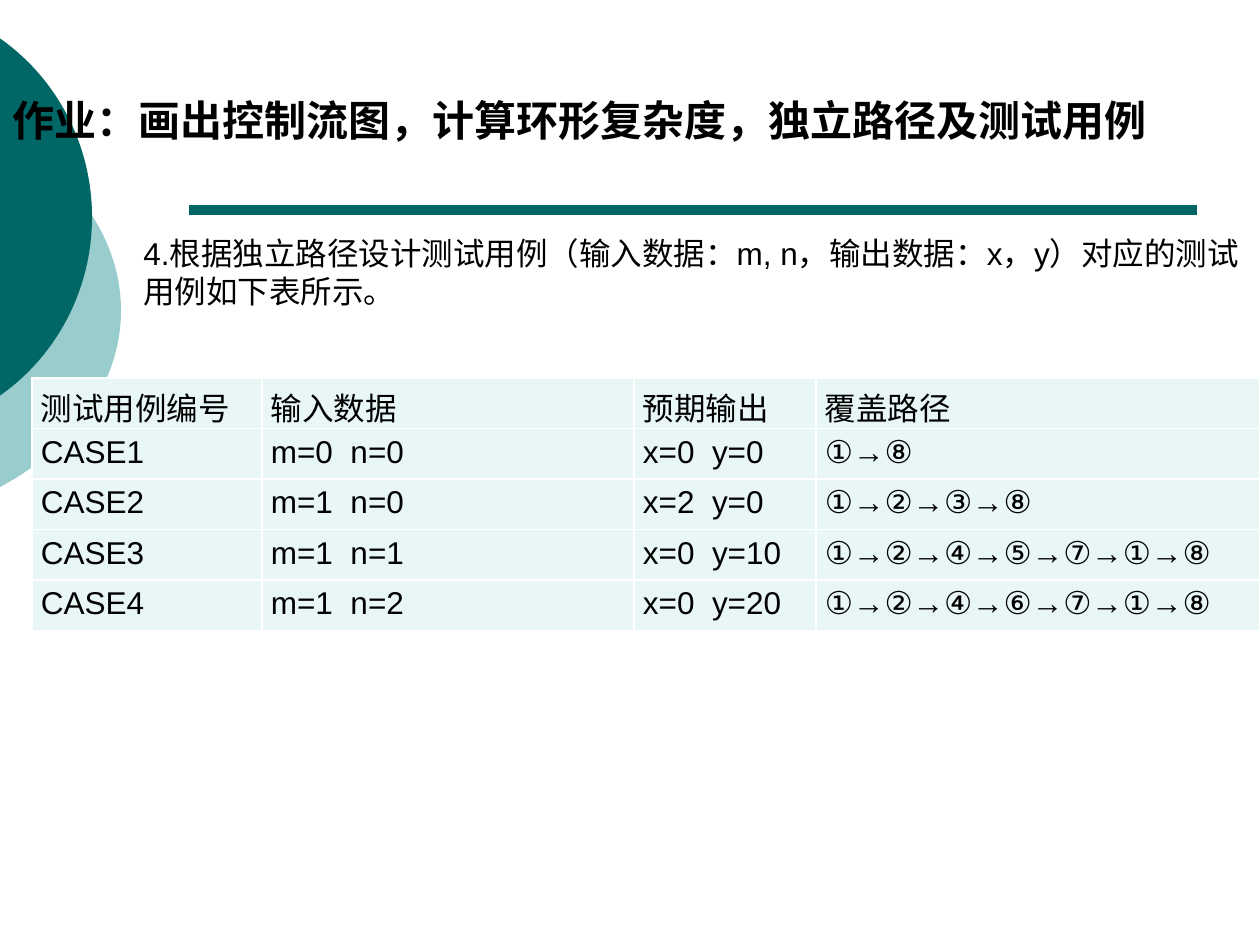
from lxml import etree
from pptx import Presentation
from pptx.dml.color import RGBColor
from pptx.enum.shapes import MSO_CONNECTOR, MSO_SHAPE
from pptx.enum.text import MSO_ANCHOR
from pptx.oxml import parse_xml
from pptx.oxml.ns import nsdecls, qn
from pptx.util import Pt

STRAIGHT = MSO_CONNECTOR.STRAIGHT
OVAL = MSO_SHAPE.OVAL
MIDDLE = MSO_ANCHOR.MIDDLE
EMU_PER_PX = 914400 / 126
TEAL = "006666"


def emu(pixels):
    return round(pixels * EMU_PER_PX)


def write(text_frame, text, size, bold=False):
    """Put one black Arial run into the first paragraph."""
    text_frame.word_wrap = True
    run = text_frame.paragraphs[0].add_run()
    run.text = text
    run.font.name = "Arial"
    run.font.size = Pt(size)
    run.font.bold = bold
    run.font.color.rgb = RGBColor.from_string("000000")


presentation = Presentation()
presentation.slide_width = emu(1260)
presentation.slide_height = emu(945)
slide = presentation.slides.add_slide(presentation.slide_layouts[6])
shapes = slide.shapes

# Ovals that reach in over the left edge
ovals = [
    ("99CCCC", -446, 95, 567, 431),
    (TEAL, -334, 0, 426, 434),
]
for color, left, top, width, height in ovals:
    oval = shapes.add_shape(OVAL, emu(left), emu(top), emu(width), emu(height))
    oval.shadow.inherit = False
    oval.fill.solid()
    oval.fill.fore_color.rgb = RGBColor.from_string(color)
    oval.line.fill.background()

rule = shapes.add_connector(STRAIGHT, emu(189), emu(210), emu(1197), emu(210))
rule.line.color.rgb = RGBColor.from_string(TEAL)
rule.line.width = Pt(6)
etree.SubElement(rule._element.spPr, qn("a:effectLst"))

title = shapes.add_textbox(0, emu(92), emu(1260), emu(56))
title.text_frame.vertical_anchor = MIDDLE
write(title.text_frame, "作业：画出控制流图，计算环形复杂度，独立路径及测试用例", 24, bold=True)

task = shapes.add_textbox(emu(131), emu(228), emu(1124), emu(89))
write(
    task.text_frame,
    "4.根据独立路径设计测试用例（输入数据：m, n，输出数据：x，y）对应的测试用例如下表所示。",
    18,
)

test_cases = [
    ("测试用例编号", "输入数据", "预期输出", "覆盖路径"),
    ("CASE1", "m=0  n=0", "x=0  y=0", "①→⑧"),
    ("CASE2", "m=1  n=0", "x=2  y=0", "①→②→③→⑧"),
    ("CASE3", "m=1  n=1", "x=0  y=10", "①→②→④→⑤→⑦→①→⑧"),
    ("CASE4", "m=1  n=2", "x=0  y=20", "①→②→④→⑥→⑦→①→⑧"),
]
column_widths = [230, 372, 182, 444]
table = shapes.add_table(
    len(test_cases), len(column_widths), emu(32), emu(378),
    emu(sum(column_widths)), emu(252),
).table
for column, width in zip(table.columns, column_widths):
    column.width = emu(width)
for row, texts in zip(table.rows, test_cases):
    for cell, text in zip(row.cells, texts):
        cell.margin_left = cell.margin_right = emu(9)
        write(cell.text_frame, text, 18)
        cell.fill.solid()
        cell.fill.fore_color.rgb = RGBColor.from_string("E8F6F6")
        for index, side in enumerate(("lnL", "lnR", "lnT", "lnB")):
            border = parse_xml(
                f'<a:{side} {nsdecls("a")} w="{Pt(1)}"><a:solidFill>'
                f'<a:srgbClr val="FFFFFF"/></a:solidFill></a:{side}>'
            )
            cell._tc.tcPr.insert(index, border)

presentation.save("out.pptx")
